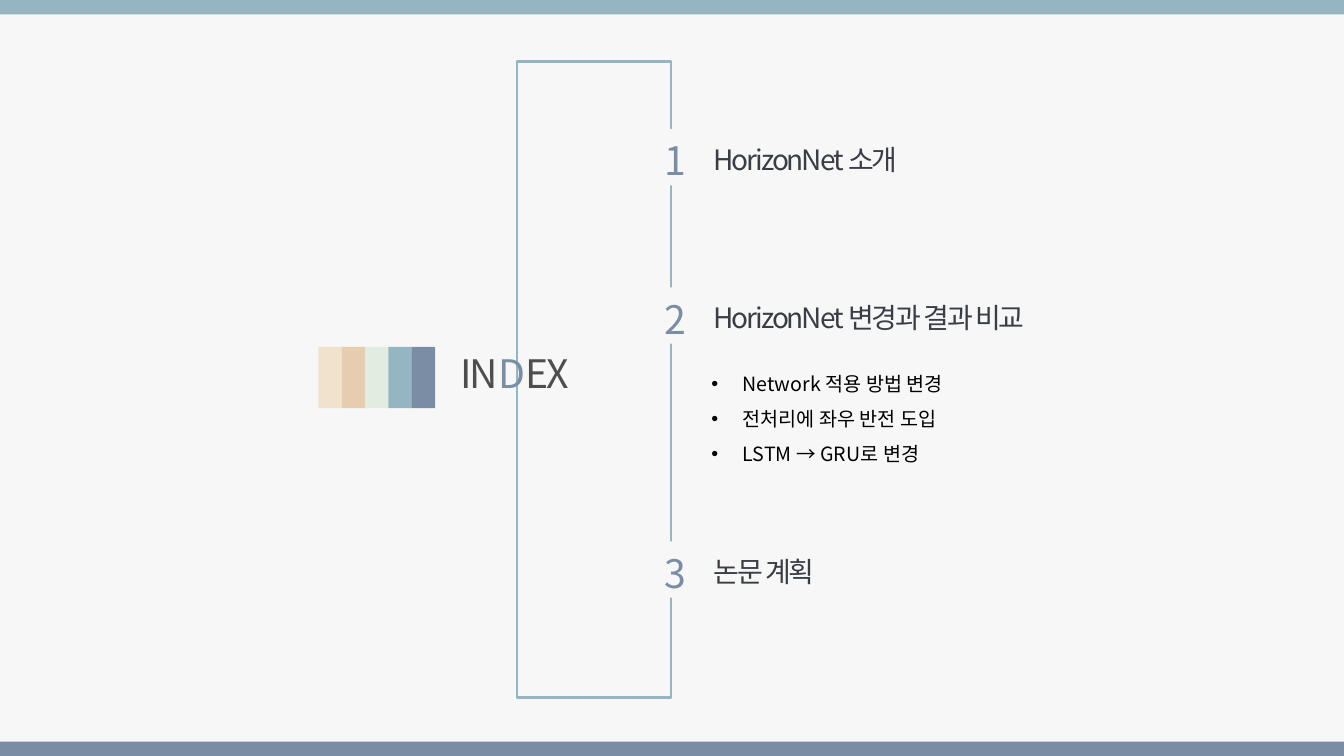
"""Build the index slide: a framed list of three numbered chapters beside a colour palette."""
from lxml.etree import SubElement
from pptx import Presentation
from pptx.dml.color import RGBColor
from pptx.enum.shapes import MSO_SHAPE
from pptx.enum.text import MSO_AUTO_SIZE
from pptx.oxml import parse_xml
from pptx.oxml.ns import nsdecls, qn
from pptx.util import Inches, Pt

PAPER = RGBColor(0xF7, 0xF7, 0xF7)
TEAL = RGBColor(0x94, 0xB5, 0xC1)
SLATE = RGBColor(0x7A, 0x8D, 0xA5)
MINT = RGBColor(0xE2, 0xED, 0xE2)
SAND = RGBColor(0xE6, 0xCD, 0xAF)
CREAM = RGBColor(0xF1, 0xE2, 0xCB)
GREY = RGBColor(0x4E, 0x4E, 0x4E)
CHARCOAL = RGBColor(0x39, 0x3E, 0x46)
BLACK = RGBColor(0, 0, 0)
FONT = "Noto Sans CJK KR"

deck = Presentation()
deck.slide_width, deck.slide_height = Inches(13.33), Inches(7.5)
column, row = deck.slide_width / 100, deck.slide_height / 100
slide = deck.slides.add_slide(deck.slide_layouts[6])
slide.background.fill.solid()
slide.background.fill.fore_color.rgb = PAPER


def add_block(left, top, width, height, color=None):
    """Add a plain rectangle, placed in percent of the slide."""
    block = slide.shapes.add_shape(
        MSO_SHAPE.RECTANGLE, int(left * column), int(top * row),
        int(width * column), int(height * row))
    block.shadow.inherit = False
    if color is None:
        block.fill.background()
    else:
        block.fill.solid()
        block.fill.fore_color.rgb = color
        block.line.fill.background()
    return block


def add_words(left, top, width, height, paragraphs, size, spacing=0, outline=BLACK, bullet=None):
    """Add text whose paragraphs are lists of (words, color)."""
    words_box = slide.shapes.add_textbox(
        int(left * column), int(top * row), int(width * column), int(height * row))
    frame = words_box.text_frame
    for name, value in {"word_wrap": True, "auto_size": MSO_AUTO_SIZE.SHAPE_TO_FIT_TEXT}.items():
        setattr(frame, name, value)
    for index, pieces in enumerate(paragraphs):
        paragraph = frame.add_paragraph() if index else frame.paragraphs[0]
        if bullet:
            properties = paragraph._p.get_or_add_pPr()
            properties.set("marL", str(Inches(0.31)))
            properties.set("indent", str(-Inches(0.31)))
            SubElement(properties, qn("a:buFont")).set("typeface", "Arial")
            SubElement(properties, qn("a:buChar")).set("char", bullet)
            paragraph.line_spacing = 1.5
        for words, color in pieces:
            run = paragraph.add_run()
            run.text = words
            for name, value in {"size": Pt(size), "name": FONT}.items():
                setattr(run.font, name, value)
            run.font.color.rgb = color
            letters = run.font._element
            letters.set("spc", str(int(spacing * 100)))
            SubElement(letters, qn("a:ea")).set("typeface", FONT)
            letters.insert(0, parse_xml(
                f'<a:ln w="{Pt(0.75)}" {nsdecls("a")}><a:solidFill><a:srgbClr val="{outline}">'
                '<a:alpha val="30000"/></a:srgbClr></a:solidFill></a:ln>'))


frame_outline = add_block(38.48, 8.13, 11.48, 84.13)
frame_outline.line.color.rgb = TEAL
frame_outline.line.width = Pt(1.5)

add_words(33.53, 45.6, 12.75, 7.6, [[("IN", GREY), ("D", SLATE), ("EX", GREY)]], 28, -1.5)

chapters = [
    (17.07, 21, "HorizonNet 소개"),
    (38, 27.9, "HorizonNet 변경과 결과 비교"),
    (71.6, 20.33, "논문 계획"),
]
for number, (top, heading_width, heading) in enumerate(chapters, start=1):
    add_block(46.5, top, 6.75, 7.47, PAPER)
    add_words(48.68, top + 0.35, 4.5, 7.6, [[(str(number), SLATE)]], 28, -1.5)
    add_words(52.35, top + 1.1, heading_width, 5.87, [[(heading, CHARCOAL)]], 20, -1.5)

for top, color in [(0, TEAL), (98.1, SLATE)]:
    add_block(0, top, 100, 1.9, color)

for position, color in enumerate([CREAM, SAND, MINT, TEAL, SLATE]):
    add_block(23.68 + 1.74 * position, 45.87, 1.74, 8.13, color)

changes = ["Network 적용 방법 변경", "전처리에 좌우 반전 도입", "LSTM → GRU로 변경"]
add_words(52.2, 46.93, 24.68, 15.07, [[(change, BLACK)] for change in changes], 14,
          outline=CHARCOAL, bullet="•")

deck.save("out.pptx")
